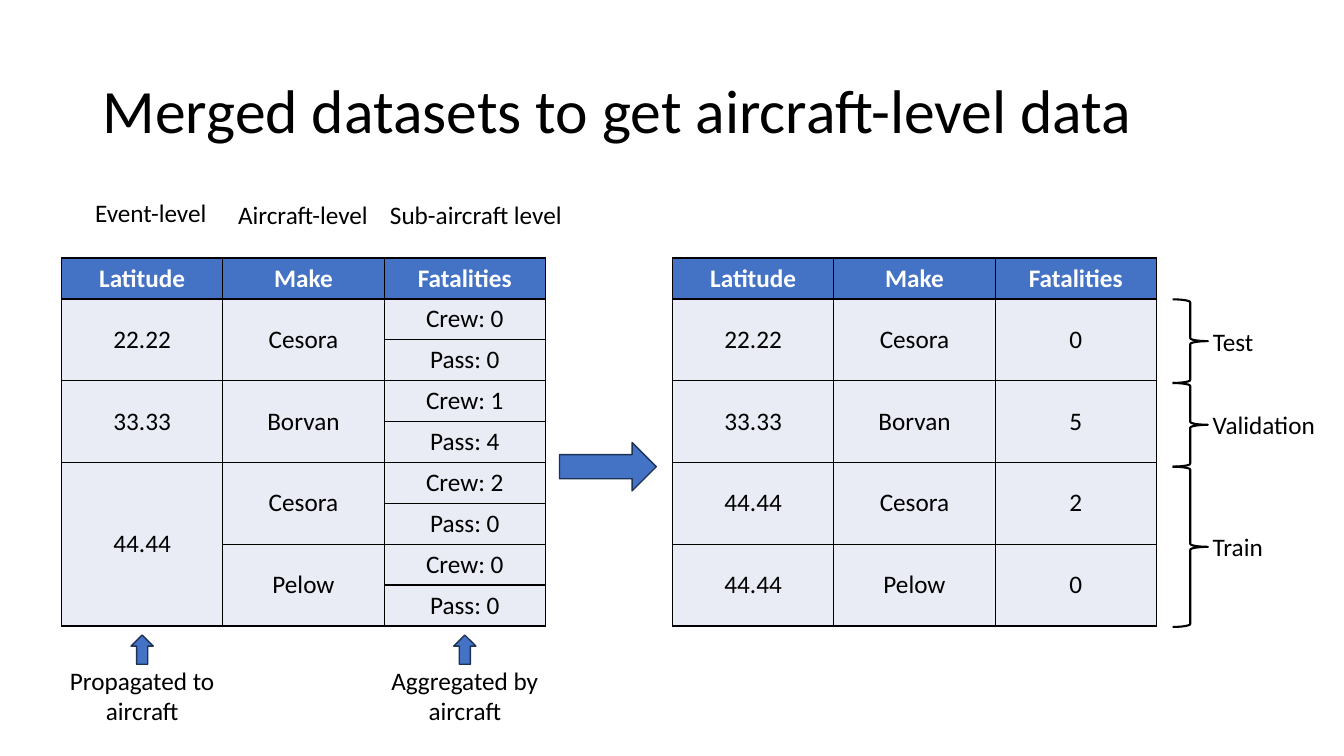
from lxml import etree
from pptx import Presentation
from pptx.dml.color import RGBColor
from pptx.enum import shapes, text
from pptx.oxml import ns
from pptx.util import Inches, Pt

# Content
TITLE = "Merged datasets to get aircraft-level data"
HEADERS = ["Latitude", "Make", "Fatalities"]
# Each entry: (text, first row, column, rows covered)
MERGE_SOURCE = [
    ("22.22", 1, 0, 2), ("33.33", 3, 0, 2), ("44.44", 5, 0, 4),
    ("Cesora", 1, 1, 2), ("Borvan", 3, 1, 2), ("Cesora", 5, 1, 2), ("Pelow", 7, 1, 2),
]
COUNTS = ["Crew: 0", "Pass: 0", "Crew: 1", "Pass: 4",
          "Crew: 2", "Pass: 0", "Crew: 0", "Pass: 0"]
AIRCRAFT = [
    ("22.22", "Cesora", "0"), ("33.33", "Borvan", "5"),
    ("44.44", "Cesora", "2"), ("44.44", "Pelow", "0"),
]
LEVELS = [  # text, left, top, width
    ("Event-level", 0.59, 1.91, 1.81),
    ("Aircraft-level", 2.1, 1.93, 1.81),
    ("Sub-aircraft level", 3.65, 1.93, 2.14),
]
CAPTIONS = [("Propagated to aircraft", 0), ("Aggregated by aircraft", 2)]  # text, column
SPLITS = [("Test", 0.83, 0.61), ("Validation", 0.83, 1.23), ("Train", 1.59, 0.7)]  # height, label width

THEME = {
    "font": "Calibri", "title": 44, "body": 18,
    "ink": "000000", "white": "FFFFFF", "accent": "4472C4",
    "cell": "E9EBF5", "outline": "1E3256",
}

# Layout, in inches
TABLE_TOP, COLUMN, ROW = 2.56, 1.6, 3.65 / 9
SOURCE_LEFT, RESULT_LEFT = 0.61, 6.67
SPLIT_LEFT, SPLIT_TOP, LABEL_LEFT = 11.63, 2.97, 11.93
LABEL_HEIGHT = 0.4

prs = Presentation()
prs.slide_width, prs.slide_height = Inches(13.33), Inches(7.5)
slide = prs.slides.add_slide(prs.slide_layouts[6])


def color(name):
    return RGBColor.from_string(THEME[name])


def box(*lengths):
    return [Inches(length) for length in lengths]


def write(frame, words, size="body", ink="ink", bold=False, align=text.PP_ALIGN.CENTER):
    paragraph = frame.paragraphs[0]
    paragraph.alignment = align
    run = paragraph.add_run()
    run.text = words
    formats = {"name": THEME["font"], "size": Pt(THEME[size]), "bold": bold}
    for key, value in formats.items():
        setattr(run.font, key, value)
    run.font.color.rgb = color(ink)
    return paragraph


def add_label(words, place, wrap=True, **style):
    frame = slide.shapes.add_textbox(*box(*place)).text_frame
    frame.word_wrap = wrap
    write(frame, words, **style)
    return frame


def add_mark(kind, place, fill=None, line="outline", width=1):
    mark = slide.shapes.add_shape(kind, *box(*place))
    mark.shadow.inherit = False
    if fill:
        mark.fill.solid()
        mark.fill.fore_color.rgb = color(fill)
    else:
        mark.fill.background()
    mark.line.color.rgb = color(line)
    mark.line.width = Pt(width)


def add_borders(cell):
    properties = cell._tc.get_or_add_tcPr()
    for side in ("a:lnL", "a:lnR", "a:lnT", "a:lnB"):
        edge = etree.SubElement(properties, ns.qn(side), w=str(Pt(1)))
        solid = etree.SubElement(edge, ns.qn("a:solidFill"))
        etree.SubElement(solid, ns.qn("a:srgbClr"), val=THEME["ink"])


def add_grid(left, heights, entries):
    grid = slide.shapes.add_table(
        len(heights), len(HEADERS),
        *box(left, TABLE_TOP, COLUMN * len(HEADERS), sum(heights))).table
    grid.first_row = grid.horz_banding = False
    for column in grid.columns:
        column.width = Inches(COLUMN)
    for index, height in enumerate(heights):
        grid.rows[index].height = Inches(height)
        for cell in grid.rows[index].cells:
            add_borders(cell)
            cell.fill.solid()
            cell.fill.fore_color.rgb = color("cell" if index else "accent")
    for column, header in enumerate(HEADERS):
        write(grid.cell(0, column).text_frame, header, ink="white", bold=True)
    for words, row, column, covered in entries:
        cell = grid.cell(row, column)
        if covered > 1:
            cell.merge(grid.cell(row + covered - 1, column))
        cell.vertical_anchor = text.MSO_ANCHOR.MIDDLE
        write(cell.text_frame, words)


# Title
title = add_label(TITLE, (0.92, 0.4, 11.5, 1.45), size="title", align=text.PP_ALIGN.LEFT)
title.vertical_anchor = text.MSO_ANCHOR.MIDDLE
title.paragraphs[0].line_spacing = 0.9

# Source and merged tables
count_entries = [(count, row, 2, 1) for row, count in enumerate(COUNTS, 1)]
add_grid(SOURCE_LEFT, [ROW] * 9, MERGE_SOURCE + count_entries)
add_grid(RESULT_LEFT, [ROW] + [2 * ROW] * len(AIRCRAFT),
         [(value, row, column, 1) for row, record in enumerate(AIRCRAFT, 1)
          for column, value in enumerate(record)])
add_mark(shapes.MSO_SHAPE.RIGHT_ARROW, (5.55, 4.39, 0.96, 0.48), fill="accent")

# Level labels above the source table
for level, left, top, width in LEVELS:
    add_label(level, (left, top, width, LABEL_HEIGHT))

# Captions and arrows centred under their columns
for caption, column in CAPTIONS:
    center = SOURCE_LEFT + COLUMN * (column + 0.5)
    add_label(caption, (center - 0.905, 6.55, 1.81, 0.71))
    add_mark(shapes.MSO_SHAPE.UP_ARROW, (center - 0.11, 6.3, 0.22, 0.29), fill="accent")

# Braces stacked beside the merged table, each label at its brace tip
top = SPLIT_TOP
for split, height, width in SPLITS:
    add_mark(shapes.MSO_SHAPE.RIGHT_BRACE, (SPLIT_LEFT, top, 0.35, height), line="ink", width=1.5)
    add_label(split, (LABEL_LEFT, top + (height - LABEL_HEIGHT) / 2, width, LABEL_HEIGHT),
              wrap=False, align=text.PP_ALIGN.LEFT)
    top += height

prs.save("out.pptx")
